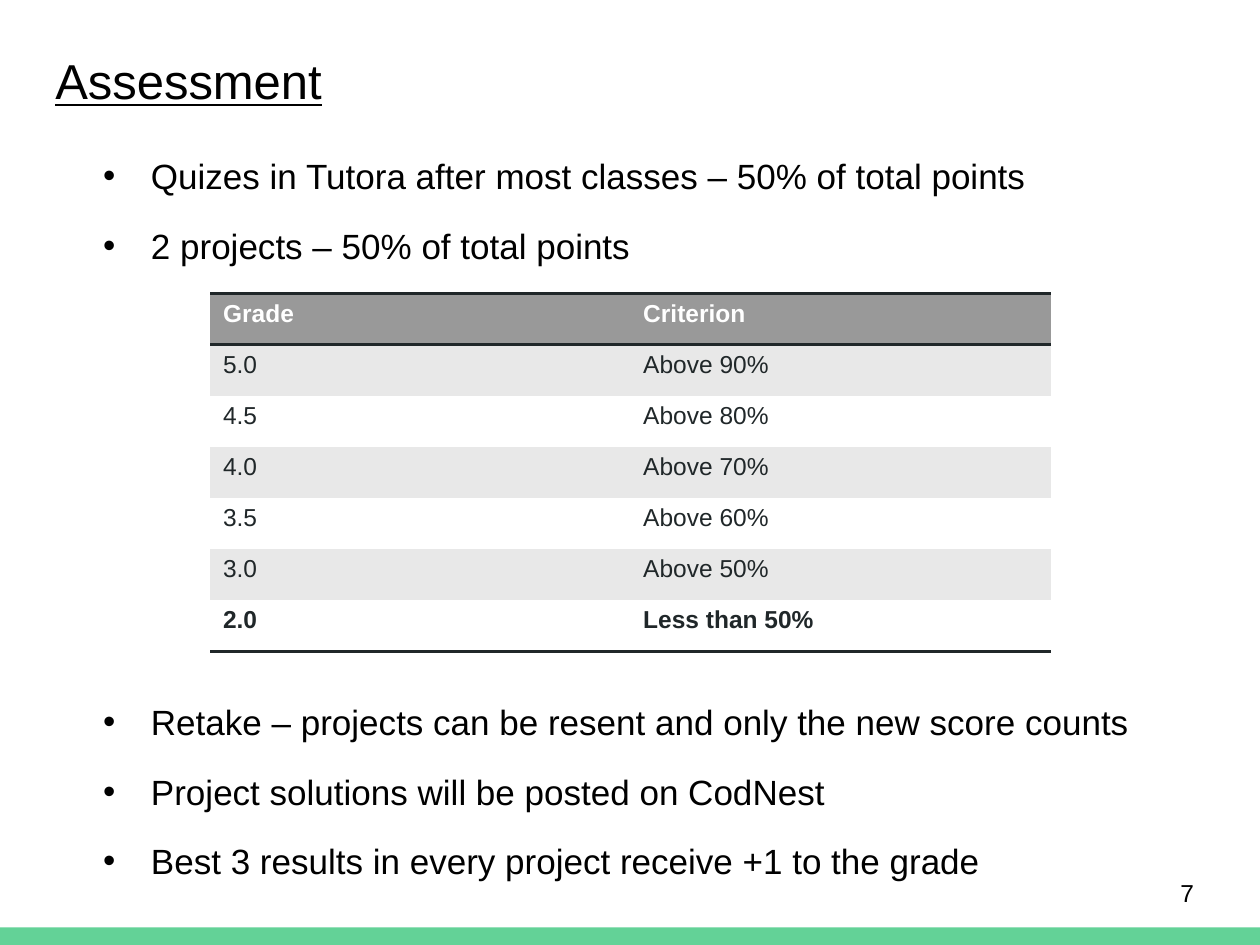
"""Build the course assessment slide with its grading table."""
from pptx import Presentation
from pptx.dml.color import RGBColor
from pptx.enum import shapes, text
from pptx.oxml import parse_xml
from pptx.oxml.ns import nsdecls
from pptx.util import Emu, Inches, Pt

FONT = "Arial"
BLACK = RGBColor(0x00, 0x00, 0x00)
WHITE = RGBColor(0xFF, 0xFF, 0xFF)
INK = RGBColor(0x20, 0x27, 0x29)
HEADER_GREY = RGBColor(0x99, 0x99, 0x99)
BAND_GREY = RGBColor(0xE8, 0xE8, 0xE8)
GREEN = RGBColor(0x63, 0xD2, 0x97)

SCORING = [
    "Quizes in Tutora after most classes – 50% of total points",
    "2 projects – 50% of total points",
]
RULES = [
    "Retake – projects can be resent and only the new score counts",
    "Project solutions will be posted on CodNest",
    "Best 3 results in every project receive +1 to the grade",
]
GRADES = [
    ("Grade", "Criterion"),
    ("5.0", "Above 90%"),
    ("4.5", "Above 80%"),
    ("4.0", "Above 70%"),
    ("3.5", "Above 60%"),
    ("3.0", "Above 50%"),
    ("2.0", "Less than 50%"),
]


def add_run(paragraph, words, size, color=BLACK, bold=False, underline=False):
    run = paragraph.add_run()
    run.text = words
    font = run.font
    font.name, font.size, font.bold = FONT, Pt(size), bold
    font.underline = underline
    font.color.rgb = color


def add_frame(slide, left, top, width, height):
    frame = slide.shapes.add_textbox(
        Inches(left), Inches(top), Inches(width), Inches(height)).text_frame
    frame.word_wrap = True
    return frame


def add_label(slide, bounds, words, size, underline=False):
    frame = add_frame(slide, *bounds)
    frame.vertical_anchor = text.MSO_ANCHOR.MIDDLE
    frame.margin_top = frame.margin_bottom = Inches(0.1)
    add_run(frame.paragraphs[0], words, size, underline=underline)


def add_bullets(slide, top, height, items):
    frame = add_frame(slide, 0.72, top, 8.56, height)
    for index, item in enumerate(items):
        paragraph = frame.add_paragraph() if index else frame.paragraphs[0]
        paragraph.space_after = Pt(15.8)
        properties = paragraph._p.get_or_add_pPr()
        properties.set("marL", str(Inches(0.38)))
        properties.set("indent", str(-Inches(0.38)))
        properties.append(parse_xml(f'<a:buFont {nsdecls("a")} typeface="{FONT}"/>'))
        properties.append(parse_xml(f'<a:buChar {nsdecls("a")} char="•"/>'))
        add_run(paragraph, item, 20)


def add_borders(cell, ruled_sides):
    properties = cell._tc.get_or_add_tcPr()
    for index, side in enumerate(("lnL", "lnR", "lnT", "lnB")):
        if side in ruled_sides:
            paint = f'<a:solidFill><a:srgbClr val="{INK}"/></a:solidFill>'
        else:
            paint = "<a:noFill/>"
        properties.insert(index, parse_xml(
            f'<a:{side} {nsdecls("a")} w="{Pt(2)}">{paint}</a:{side}>'))


def add_grade_table(slide):
    last = len(GRADES) - 1
    table = slide.shapes.add_table(
        len(GRADES), 2, Inches(1.67), Inches(2.33), Inches(6.67), Inches(2.84)).table
    ruled_sides = {0: ("lnT", "lnB"), 1: ("lnT",), last: ("lnB",)}
    for row, entries in enumerate(GRADES):
        band = BAND_GREY if row % 2 else WHITE
        for column, words in enumerate(entries):
            cell = table.cell(row, column)
            cell.fill.solid()
            cell.fill.fore_color.rgb = band if row else HEADER_GREY
            add_borders(cell, ruled_sides.get(row, ()))
            add_run(cell.text_frame.paragraphs[0], words, 14,
                    INK if row else WHITE, bold=row in (0, last))


def add_footer_band(slide):
    band = slide.shapes.add_shape(
        shapes.MSO_SHAPE.RECTANGLE, Emu(0), Inches(7.36), Inches(10), Inches(0.14))
    band.shadow.inherit = False
    band.fill.solid()
    band.fill.fore_color.rgb = GREEN
    band.line.fill.background()


def main():
    deck = Presentation()
    deck.slide_width, deck.slide_height = Inches(10), Inches(7.5)
    slide = deck.slides.add_slide(deck.slide_layouts[6])
    add_footer_band(slide)
    add_label(slide, (0.34, 0.25, 9.32, 0.77), "Assessment", 28, underline=True)
    add_label(slide, (9.27, 6.8, 0.6, 0.57), "7", 14)
    add_bullets(slide, 1.18, 1.1, SCORING)
    add_bullets(slide, 5.51, 1.56, RULES)
    add_grade_table(slide)
    deck.save("out.pptx")


if __name__ == "__main__":
    main()
